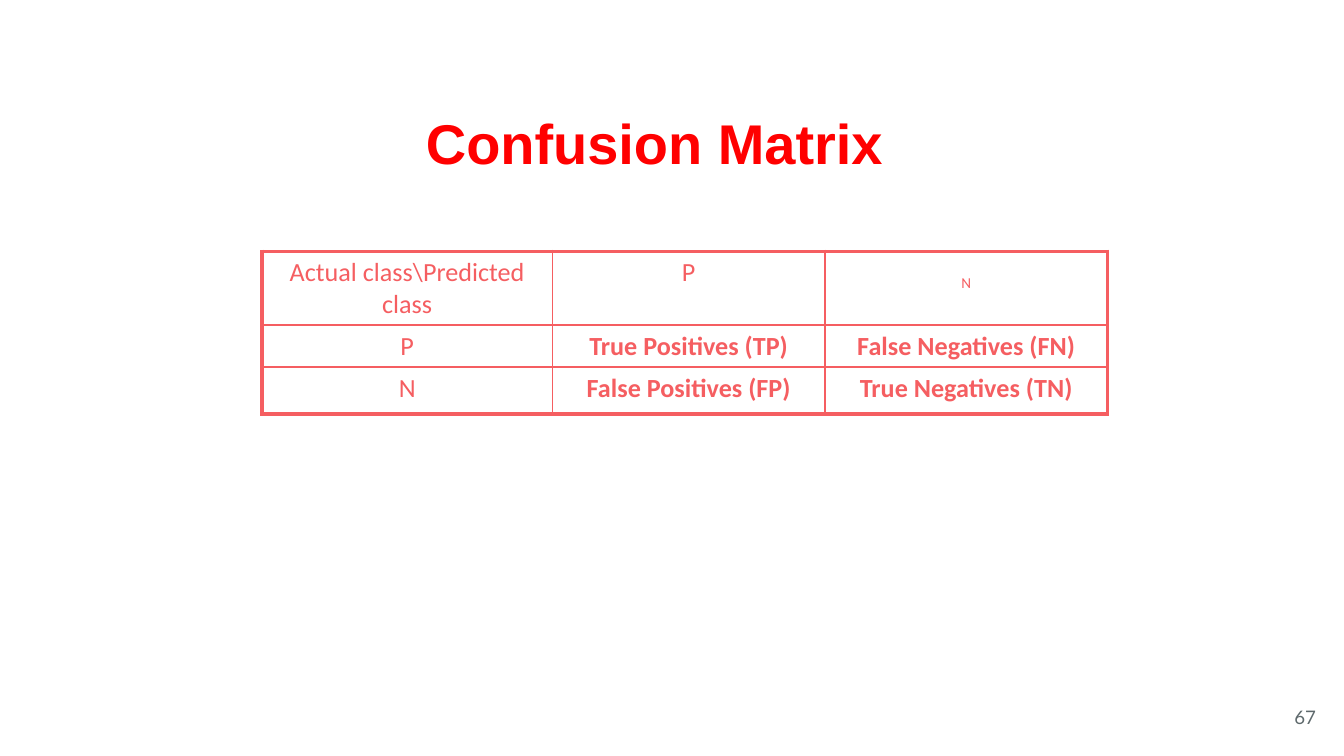
from lxml.etree import SubElement
from pptx import Presentation
from pptx.dml.color import RGBColor
from pptx.enum.text import MSO_ANCHOR as Anchor, PP_ALIGN as Align
from pptx.oxml.ns import qn
from pptx.util import Inches, Pt

RED = RGBColor(0xFF, 0x00, 0x00)
CORAL = RGBColor(0xF5, 0x5E, 0x61)
GRAY = RGBColor(0x5E, 0x69, 0x6C)

THICK, THIN = 2.25, 1
COLUMN_WIDTHS = [2.16, 2.03, 2.1]
ROW_HEIGHTS = [0.53, 0.31, 0.35]
MATRIX = [
    ["Actual class\\Predicted class", "P", "N"],
    ["P", "True Positives (TP)", "False Negatives (FN)"],
    ["N", "False Positives (FP)", "True Negatives (TN)"],
]


def write_text(frame, text, *, size, font, color, bold=False, align=Align.CENTER, baseline=0):
    frame.word_wrap = True
    para = frame.paragraphs[0]
    para.alignment = align
    span = para.add_run()
    span.text = text
    span.font.size = Pt(size)
    span.font.name = font
    span.font.bold = bold
    span.font.color.rgb = color
    if baseline:
        span.font._element.set("baseline", str(baseline * 1000))


def set_margins(holder, horizontal, vertical):
    holder.margin_left = holder.margin_right = Inches(horizontal)
    holder.margin_top = holder.margin_bottom = Inches(vertical)


def set_borders(cell, widths):
    """Draw the cell's borders; widths are points for left, right, top, bottom."""
    properties = cell._tc.get_or_add_tcPr()
    for index, (side, width) in enumerate(zip("LRTB", widths)):
        line = SubElement(properties, qn(f"a:ln{side}"), w=str(Pt(width)))
        fill = SubElement(line, qn("a:solidFill"))
        SubElement(fill, qn("a:srgbClr"), val=str(CORAL))
        properties.insert(index, line)


def add_text_box(page, left, top, width, height, text, margins=(0.1, 0.05),
                 anchor=Anchor.TOP, **text_format):
    box = page.shapes.add_textbox(Inches(left), Inches(top), Inches(width), Inches(height))
    set_margins(box.text_frame, *margins)
    box.text_frame.vertical_anchor = anchor
    write_text(box.text_frame, text, **text_format)


def add_matrix(page, left, top):
    row_count, column_count = len(ROW_HEIGHTS), len(COLUMN_WIDTHS)
    table = page.shapes.add_table(
        row_count, column_count, Inches(left), Inches(top),
        Inches(sum(COLUMN_WIDTHS)), Inches(sum(ROW_HEIGHTS))).table
    table.first_row = table.horz_banding = False
    for column, width in zip(table.columns, COLUMN_WIDTHS):
        column.width = Inches(width)
    for row, height in zip(table.rows, ROW_HEIGHTS):
        row.height = Inches(height)

    for r, labels in enumerate(MATRIX):
        for c, label in enumerate(labels):
            cell = table.cell(r, c)
            cell.fill.background()
            set_margins(cell, 0.07, 0.04)
            write_text(cell.text_frame, label, size=14, font="Calibri", color=CORAL,
                       bold=r > 0 and c > 0,
                       baseline=-25 if (r, c) == (0, column_count - 1) else 0)
            outer_sides = (c == 0, c == column_count - 1, r == 0, r == row_count - 1)
            set_borders(cell, [THICK if outer else THIN for outer in outer_sides])


def main():
    deck = Presentation()
    deck.slide_width = Inches(10)
    deck.slide_height = deck.slide_width * 9 // 16
    page = deck.slides.add_slide(deck.slide_layouts[6])
    add_text_box(page, 9.29, 5.12, 0.6, 0.43, "67", margins=(0.1, 0.1),
                 anchor=Anchor.MIDDLE, size=10, font="Lato", color=GRAY, align=Align.RIGHT)
    add_matrix(page, 1.95, 1.87)
    add_text_box(page, 3, 0.76, 3.74, 0.61, "Confusion Matrix",
                 size=30, font="Arial", color=RED, bold=True)
    deck.save("out.pptx")


if __name__ == "__main__":
    main()
